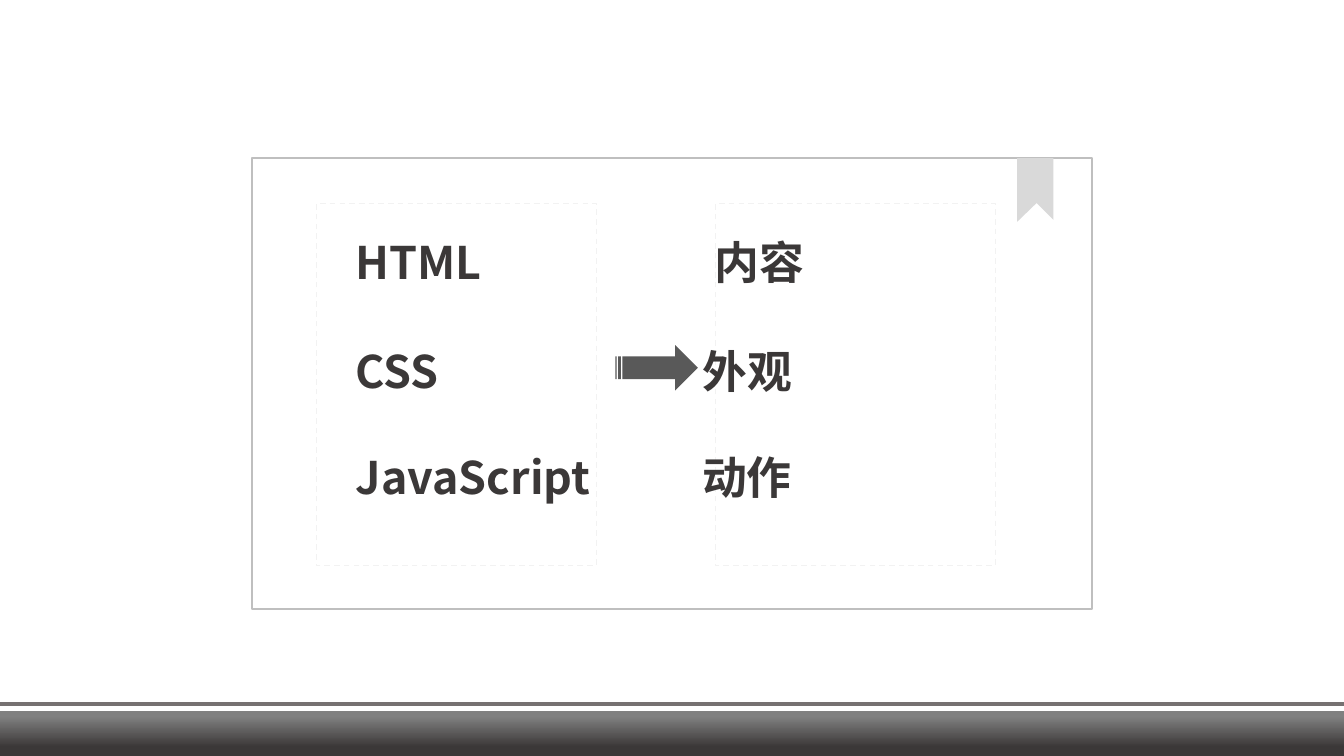
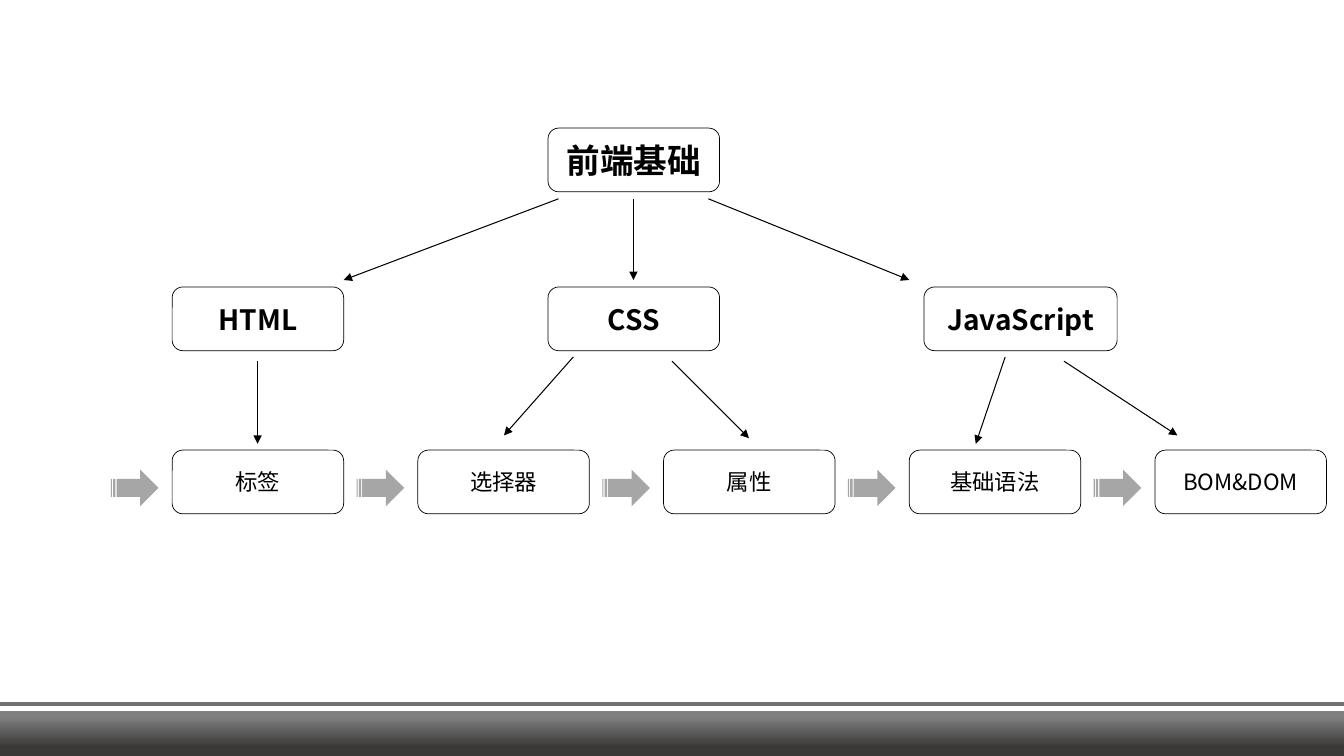
from lxml.etree import SubElement
from pptx import Presentation
from pptx.dml.color import RGBColor
from pptx.enum.dml import MSO_LINE
from pptx.enum.shapes import MSO_CONNECTOR, MSO_SHAPE
from pptx.enum.text import MSO_ANCHOR, PP_ALIGN
from pptx.oxml.ns import qn
from pptx.util import Pt

FONT = "Noto Sans CJK SC"
INK, BLACK, WHITE = "3B3838", "000000", "FFFFFF"
BAND_LIGHT, RULE, CARD_EDGE = "808080", "767171", "BFBFBF"
PANEL_EDGE, RIBBON, ARROW, STEP_ARROW = "F2F2F2", "D9D9D9", "595959", "A6A6A6"
color = RGBColor.from_string


def add_part(slide, preset, box, fill=None, edge=None, weight=1):
    part = slide.shapes.add_shape(preset, *map(Pt, box))
    part.shadow.inherit = False
    if fill:
        part.fill.solid()
        part.fill.fore_color.rgb = color(fill)
    else:
        part.fill.background()
    if edge:
        part.line.color.rgb = color(edge)
        part.line.width = Pt(weight)
    else:
        part.line.fill.background()
    return part


def write(paragraph, text, size, ink, bold):
    run = paragraph.add_run()
    run.text = text
    run.font.size = Pt(size)
    run.font.bold = bold
    run.font.color.rgb = color(ink)
    run.font.name = FONT
    SubElement(run.font._element, qn("a:ea"), typeface=FONT)


prs = Presentation()
prs.slide_width, prs.slide_height = Pt(960), Pt(540)
blank = prs.slide_layouts[6]
roles, outline = [prs.slides.add_slide(blank) for _ in range(2)]

for slide in prs.slides:
    band = add_part(slide, MSO_SHAPE.RECTANGLE, (0, 507.6, 960, 32.4))
    band.fill.gradient()
    band.fill.gradient_angle = 90
    for stop, (position, shade) in zip(
        band.fill.gradient_stops, [(0.2, INK), (0.87, BAND_LIGHT)]
    ):
        stop.position = position
        stop.color.rgb = color(shade)
    rule = slide.shapes.add_connector(
        MSO_CONNECTOR.STRAIGHT, Pt(0), Pt(503), Pt(960), Pt(503)
    )
    rule.line.color.rgb = color(RULE)
    rule.line.width = Pt(2.5)

for left in (226, 511):
    panel = add_part(
        roles, MSO_SHAPE.RECTANGLE, (left, 145.5, 200, 258.5), edge=PANEL_EDGE
    )
    panel.line.dash_style = MSO_LINE.DASH
add_part(roles, MSO_SHAPE.RECTANGLE, (180, 113, 600, 322), edge=CARD_EDGE)

ribbon_outline = roles.shapes.build_freeform(Pt(726.5), Pt(113))
ribbon_outline.add_line_segments(
    [(Pt(x), Pt(y)) for x, y in [(752.5, 113), (752.5, 157), (740.5, 145), (726.5, 158.5)]]
)
ribbon = ribbon_outline.convert_to_shape()
ribbon.shadow.inherit = False
ribbon.fill.solid()
ribbon.fill.fore_color.rgb = color(RIBBON)
ribbon.line.fill.background()

add_part(roles, MSO_SHAPE.STRIPED_RIGHT_ARROW, (439.5, 246.5, 59, 32.5), ARROW)

for language, role, top, tab in [
    ("HTML", "内容", 164, 256.5),
    ("CSS", "外观", 242, 248),
    ("JavaScript", "动作", 317.5, 247.5),
]:
    row = roles.shapes.add_textbox(Pt(247), Pt(top), Pt(410.5), Pt(46))
    row.text_frame.word_wrap = True
    paragraph = row.text_frame.paragraphs[0]
    tabs = SubElement(paragraph._p.get_or_add_pPr(), qn("a:tabLst"))
    SubElement(tabs, qn("a:tab"), pos=str(Pt(tab)), algn="l")
    write(paragraph, f"{language}\t{role}", 32, INK, True)

FIRST, TOPIC_STEP, LEAF_STEP, NODE_WIDTH = 123, 268.5, 175.5, 122.5
topics = [("HTML", NODE_WIDTH), ("CSS", NODE_WIDTH), ("JavaScript", 138)]
leaves = ["标签", "选择器", "属性", "基础语法", "BOM&DOM"]
nodes = [("前端基础", FIRST + TOPIC_STEP, 91.5, NODE_WIDTH, 24, True)]
for i, (topic, width) in enumerate(topics):
    nodes.append((topic, FIRST + i * TOPIC_STEP, 205, width, 20, True))
for i, leaf in enumerate(leaves):
    nodes.append((leaf, FIRST + i * LEAF_STEP, 321.5, NODE_WIDTH, 16, False))
    add_part(
        outline,
        MSO_SHAPE.STRIPED_RIGHT_ARROW,
        (79.2 + i * LEAF_STEP, 335.5, 34, 26),
        STEP_ARROW,
    )

for text, left, top, width, size, bold in nodes:
    node = add_part(
        outline, MSO_SHAPE.ROUNDED_RECTANGLE, (left, top, width, 45.5), WHITE, BLACK, 0.5
    )
    node.text_frame.word_wrap = True
    node.text_frame.vertical_anchor = MSO_ANCHOR.MIDDLE
    paragraph = node.text_frame.paragraphs[0]
    paragraph.alignment = PP_ALIGN.CENTER
    write(paragraph, text, size, BLACK, bold)

for ends in [
    (399, 142, 245.5, 200),
    (452.5, 142, 452.5, 200),
    (506, 142, 649.5, 200),
    (184, 258, 184, 317),
    (409.5, 255, 360, 311),
    (480, 258, 535, 313),
    (718, 255, 697, 317),
    (760, 258, 841, 311),
]:
    branch = outline.shapes.add_connector(MSO_CONNECTOR.STRAIGHT, *map(Pt, ends))
    branch.line.color.rgb = color(BLACK)
    branch.line.width = Pt(0.75)
    SubElement(branch.element.spPr.find(qn("a:ln")), qn("a:tailEnd"), type="triangle")

for slide in prs.slides:
    for connector in slide.element.iter(qn("p:cxnSp")):
        SubElement(connector.spPr, qn("a:effectLst"))

prs.save("out.pptx")
